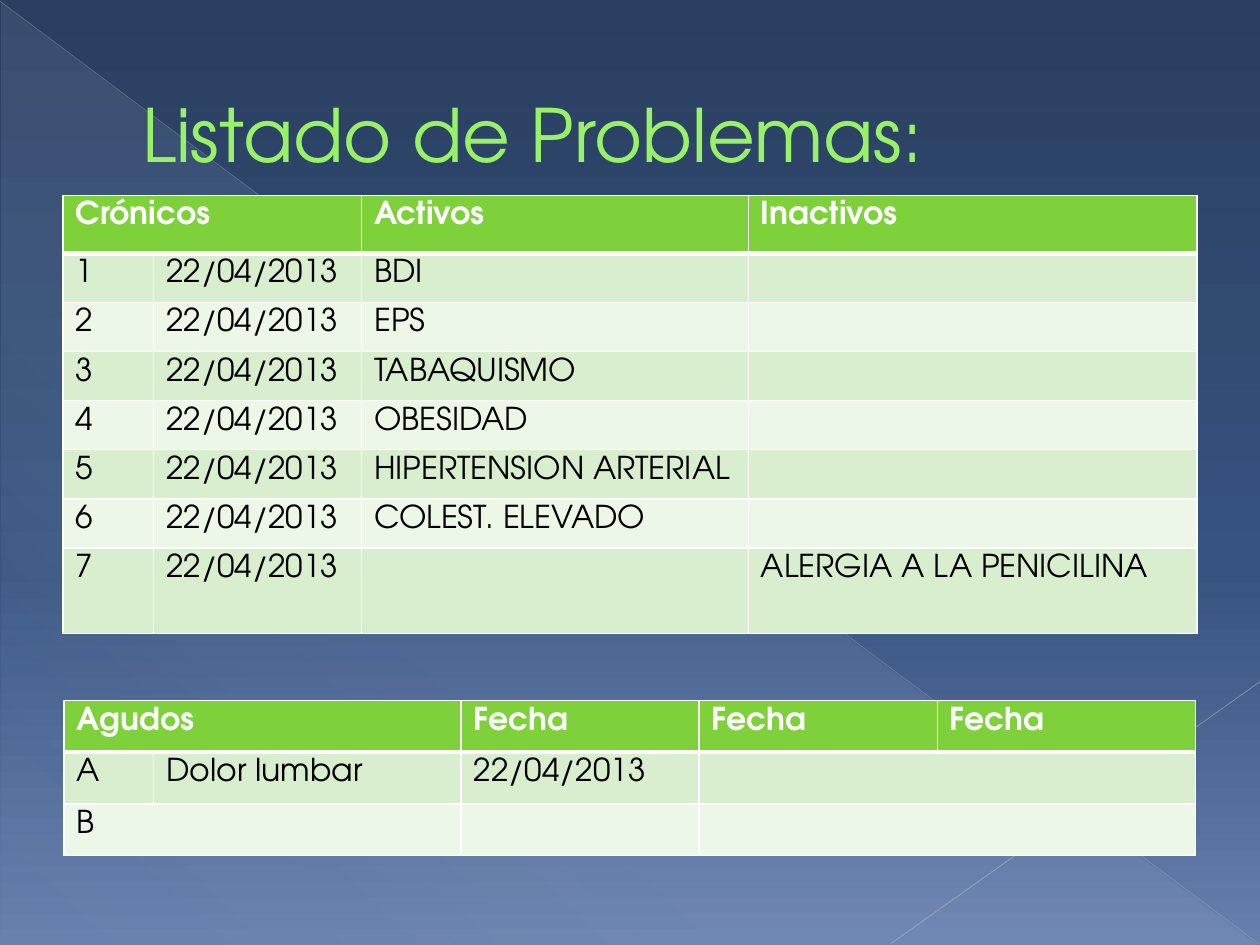
from lxml import etree
from pptx import Presentation, util as u
from pptx.dml.color import RGBColor
from pptx.enum import shapes, text
from pptx.oxml import ns

FONT = "TeX Gyre Adventor"
WHITE = RGBColor(0xFF, 0xFF, 0xFF)
BLACK = RGBColor(0, 0, 0)
HEADER = RGBColor(0x7F, 0xD1, 0x3B)
BANDS = RGBColor(0xD8, 0xEE, 0xCE), RGBColor(0xEC, 0xF7, 0xE8)
TITLE = RGBColor(0x98, 0xF1, 0x67)
TITLE_EDGE = RGBColor(0x58, 0x91, 0x29)
NAVY = RGBColor(0x29, 0x3F, 0x60)
BLUE = RGBColor(0x37, 0x53, 0x80)
HAZE = RGBColor(0x66, 0x7F, 0xAC)
ICE = RGBColor(0xD6, 0xEC, 0xFF)
RAY_DOWN = RGBColor(0xB7, 0xBC, 0xC5)
RAY_UP = RGBColor(0xBF, 0xC3, 0xCB)
DATE = "22/04/2013"


def add(parent, tag, **attrs):
    return etree.SubElement(parent, ns.qn(tag), {k: str(v) for k, v in attrs.items()})


def set_alpha(color, percent):
    add(color, "a:alpha", val=percent * 1000)


def set_gradient(fill, element, stops, angle):
    fill.gradient()
    stop_list = element.find(".//" + ns.qn("a:gsLst"))
    for stop in list(stop_list):
        stop_list.remove(stop)
    for position, color, alpha in stops:
        stop = add(stop_list, "a:gs", pos=position * 1000)
        set_alpha(add(stop, "a:srgbClr", val=color), alpha)
    element.find(".//" + ns.qn("a:lin")).set("ang", str(angle * 60000))


def add_ray(s, start, end, color, width, alpha):
    ray = s.shapes.add_connector(
        shapes.MSO_CONNECTOR.STRAIGHT, *(u.Inches(v) for v in start + end))
    ray.line.width = u.Pt(width)
    ray.line.color.rgb = color
    sp_pr = ray._element.spPr
    set_alpha(sp_pr.find(".//" + ns.qn("a:srgbClr")), alpha)
    add(sp_pr, "a:effectLst")


def add_backdrop(s, width, height):
    bg = s.background
    set_gradient(bg.fill, s._element.cSld.find(ns.qn("p:bg")),
                 [(0, NAVY, 100), (60, BLUE, 100), (100, HAZE, 100)], 90)
    sp = s.shapes.add_shape(
        shapes.MSO_SHAPE.RIGHT_TRIANGLE, u.Inches(0.01), u.Inches(0.02),
        u.Inches(width - 0.02), u.Inches(height - 0.02))
    sp.shadow.inherit = False
    sp.line.fill.background()
    set_gradient(sp.fill, sp._element.spPr,
                 [(0, ICE, 10), (70, ICE, 8), (100, ICE, 1)], 133)
    add_ray(s, (0, 0.01), (width - 0.01, height - 0.01), RAY_DOWN, 0.39, 35)
    add_ray(s, (width, 5.41), (7.07, height - 0.01), RAY_UP, 0.47, 45)


def style_run(r, size, color, bold=False):
    r.font.name = FONT
    r.font.size = u.Pt(size)
    r.font.bold = bold
    r.font.color.rgb = color


def add_title(s, box, words):
    sp = s.shapes.add_textbox(*(u.Inches(v) for v in box))
    tf = sp.text_frame
    tf.word_wrap = True
    tf.vertical_anchor = text.MSO_ANCHOR.MIDDLE
    tf.text = words
    p = tf.paragraphs[0]
    p._p.get_or_add_pPr().set("marL", str(u.Inches(0.53)))
    r = p.runs[0]
    style_run(r, 42, TITLE)
    edge = etree.Element(ns.qn("a:ln"), w=str(u.Pt(0.5)))
    add(add(edge, "a:solidFill"), "a:srgbClr", val=TITLE_EDGE)
    r.font._element.insert(0, edge)


def set_borders(cell, bottom):
    tc_pr = cell._tc.get_or_add_tcPr()
    for index, (side, width) in enumerate(
            [("L", 1), ("R", 1), ("T", 1), ("B", bottom)]):
        line = etree.Element(ns.qn("a:ln" + side), w=str(u.Pt(width)))
        add(add(line, "a:solidFill"), "a:srgbClr", val=WHITE)
        tc_pr.insert(index, line)


def add_problem_table(s, left, top, columns, heights, rows, merges):
    table = s.shapes.add_table(
        len(rows), len(columns), u.Inches(left), u.Inches(top),
        u.Inches(sum(columns)), u.Inches(sum(heights))).table
    for column, width in zip(table.columns, columns):
        column.width = u.Inches(width)
    for row, height in zip(table.rows, heights):
        row.height = u.Inches(height)
    for i, row in enumerate(rows):
        is_header = i == 0
        for j, words in enumerate(row):
            cell = table.cell(i, j)
            cell.vertical_anchor = text.MSO_ANCHOR.TOP
            cell.margin_top = u.Inches(0.05)
            cell.margin_bottom = 0
            cell.fill.solid()
            cell.fill.fore_color.rgb = HEADER if is_header else BANDS[(i - 1) % 2]
            set_borders(cell, 3 if is_header else 1)
            cell.text_frame.text = words
            for r in cell.text_frame.paragraphs[0].runs:
                style_run(r, 18, WHITE if is_header else BLACK, is_header)
    for i, j in merges:
        table.cell(i, j).merge(table.cell(i, j + 1))


def main():
    prs = Presentation()
    prs.slide_width, prs.slide_height = u.Inches(10), u.Inches(7.5)
    s = prs.slides.add_slide(prs.slide_layouts[6])
    add_backdrop(s, 10, 7.5)
    add_title(s, (0.5, 0.29, 9, 1.53), "Listado de Problemas:")

    active = ["BDI", "EPS", "TABAQUISMO", "OBESIDAD",
              "HIPERTENSION ARTERIAL", "COLEST. ELEVADO", ""]
    chronic = [[str(n), DATE, problem, ""] for n, problem in enumerate(active, 1)]
    chronic[-1][-1] = "ALERGIA A LA PENICILINA"
    add_problem_table(
        s, 0.5, 1.55, [0.72, 1.65, 3.07, 3.56], [0.46] + [0.39] * 6 + [0.68],
        [["Crónicos", "", "Activos", "Inactivos"]] + chronic, [(0, 0)])
    add_problem_table(
        s, 0.51, 5.56, [0.71, 2.44, 1.89, 1.89, 2.05], [0.41] * 3,
        [["Agudos", ""] + ["Fecha"] * 3,
         ["A", "Dolor lumbar", DATE, "", ""],
         ["B", "", "", "", ""]],
        [(0, 0), (1, 3), (2, 0), (2, 3)])
    prs.save("out.pptx")


if __name__ == "__main__":
    main()
